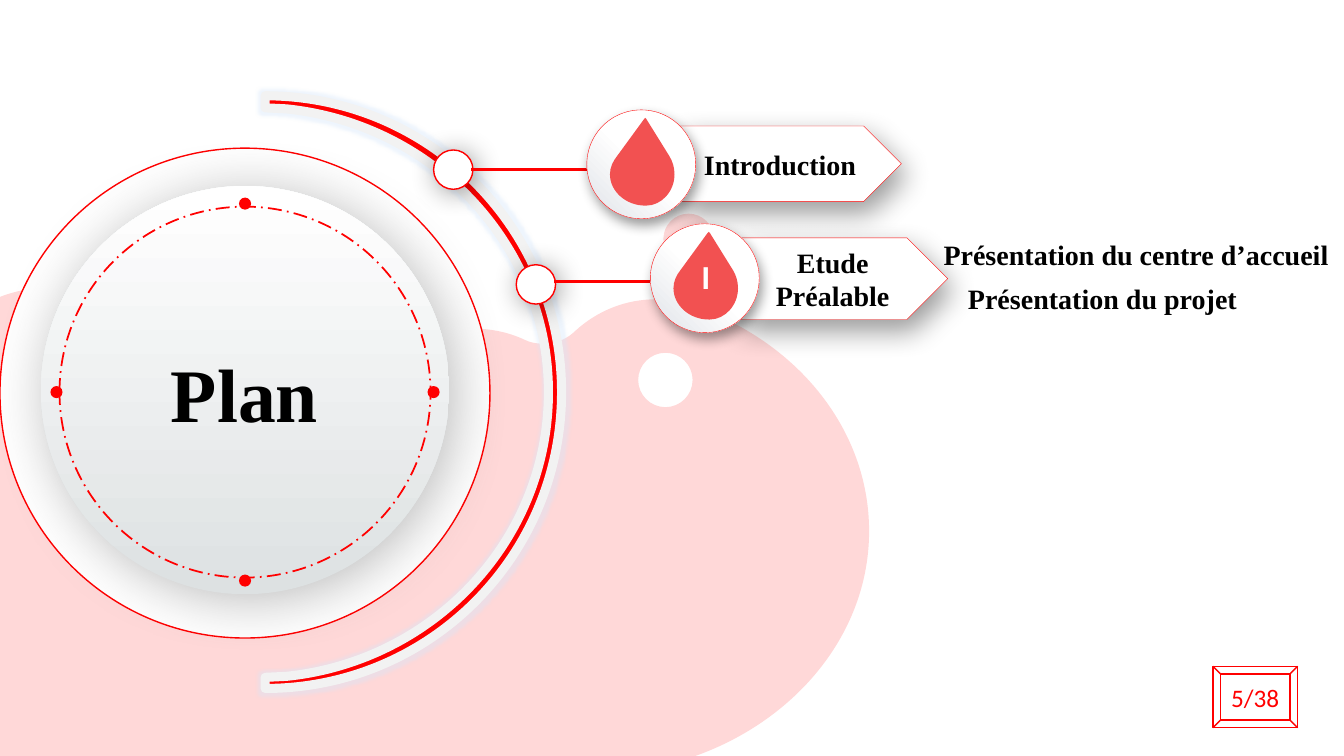
import math

import pptx
import pptx.dml.color
import pptx.enum.dml
import pptx.enum.shapes
import pptx.enum.text
import pptx.oxml
import pptx.oxml.ns
import pptx.util

COLORS = {"red": "FF0000", "drop": "F25151", "blob": "FFD8D8", "white": "FFFFFF",
          "black": "000000", "band": "F2F2F2", "glow": "D5E6FA", "steel": "DDE1E2",
          "pearl": "E0E3E8", "shade": "595959"}
SERIF, SANS = "Times New Roman", "Calibri"
KINDS = pptx.enum.shapes.MSO_SHAPE
LEFT, CENTER = pptx.enum.text.PP_ALIGN.LEFT, pptx.enum.text.PP_ALIGN.CENTER
TOP, MIDDLE = pptx.enum.text.MSO_ANCHOR.TOP, pptx.enum.text.MSO_ANCHOR.MIDDLE

# The page is a grid of one-inch cells; boxes are (left, top, width, height) in cells.
COLUMNS, ROWS = 13.33, 7.5
HUB = (2.43, 3.89)
ARC_HUB = (2.63, 3.89)

# Outlines are offsets from a corner: pairs are lines, sixes are Bézier curves.
LEFT_BLOB = [
    (0.61, 0), (0.85, 0, 1.1, 0.05, 1.32, 0.15), (1.77, 0.35, 2.14, 0.71, 2.41, 1.14),
    (2.66, 1.51, 2.84, 1.95, 3.22, 2.19), (3.49, 2.36, 3.82, 2.4, 4.13, 2.45),
    (4.51, 2.52, 4.89, 2.59, 5.25, 2.74), (5.6, 2.88, 5.94, 3.12, 6.16, 3.44),
    (6.42, 3.82, 6.5, 4.29, 6.51, 4.75), (0.13, 4.75), (0.06, 4.75, 0, 4.69, 0, 4.61),
    (0, 0.13), (0.19, 0.04, 0.4, 0, 0.61, 0)]
RIGHT_BLOB = [
    (5.28, 0), (4.99, 0, 4.71, 0.11, 4.49, 0.31), (4.41, 0.39, 4.3, 0.44, 4.17, 0.44),
    (4.1, 0.44, 4.04, 0.43, 3.98, 0.4), (3.81, 0.32, 3.63, 0.29, 3.46, 0.29),
    (3.2, 0.29, 2.96, 0.37, 2.75, 0.53), (2.54, 0.7, 2.36, 0.91, 2.21, 1.13),
    (1.96, 1.53, 1.6, 1.84, 1.17, 2.01), (1.13, 2.03, 1.1, 2.05, 1.07, 2.06),
    (0.81, 2.18, 0.64, 2.46, 0.67, 2.75), (0.68, 2.77, 0.68, 2.8, 0.67, 2.83),
    (0.66, 2.95, 0.56, 3.05, 0.44, 3.06), (0.43, 3.06), (0.19, 3.1, 0.01, 3.29, 0, 3.53),
    (0, 3.54), (0, 4.49, 0.96, 5.26, 2.14, 5.26), (2.57, 5.26, 2.97, 5.16, 3.3, 4.99),
    (3.64, 4.8, 4.02, 4.7, 4.4, 4.7), (4.43, 4.7, 4.46, 4.71, 4.49, 4.71), (4.63, 4.71),
    (6.15, 4.71, 7.4, 3.63, 7.4, 2.3), (7.4, 1.3, 6.7, 0.44, 5.7, 0.08),
    (5.56, 0.03, 5.42, 0, 5.28, 0)]
DROP = [
    (0.35, 0), (0.35, 0, 0.34, 0.01, 0.34, 0.01), (0.07, 0.38), (0.03, 0.43, 0, 0.49, 0, 0.56),
    (0, 0.73, 0.16, 0.87, 0.35, 0.87), (0.36, 0.87), (0.51, 0.87, 0.64, 0.73, 0.64, 0.56),
    (0.64, 0.49, 0.62, 0.43, 0.59, 0.38), (0.36, 0.01), (0.36, 0.01, 0.36, 0, 0.35, 0)]
ARC = [
    (0, 0), (1.63, 0, 2.94, 1.32, 2.94, 2.94), (2.94, 4.57, 1.63, 5.88, 0, 5.88), (0, 5.77),
    (0.21, 5.76), (1.67, 5.61, 2.81, 4.41, 2.81, 2.94), (2.81, 1.48, 1.67, 0.28, 0.21, 0.13),
    (0, 0.12)]

# Label, drop text, knot angle, connector row, badge corner, plate box
BRANCHES = [
    ("Introduction", "", 49.8, 1.68, (5.82, 1.09), (6.72, 1.25, 2.22, 0.75)),
    ("Etude Préalable", "I", 21.7, 2.79, (6.45, 2.22), (7.32, 2.36, 2.08, 0.81))]


def rgb(name):
    return pptx.dml.color.RGBColor.from_string(COLORS[name])


def cells(*lengths):
    return [pptx.util.Inches(length) for length in lengths]


def around(center, size):
    return center[0] - size / 2, center[1] - size / 2, size, size


def on_circle(center, radius, degrees):
    angle = math.radians(degrees)
    return center[0] + radius * math.cos(angle), center[1] - radius * math.sin(angle)


def element(tag, inner="", attributes=""):
    return pptx.oxml.parse_xml(
        f'<a:{tag} {pptx.oxml.ns.nsdecls("a")} {attributes}>{inner}</a:{tag}>')


def add_effect(shape, kind, attributes, color, alpha=40):
    effects = shape.element.spPr.find(pptx.oxml.ns.qn("a:effectLst"))
    effects.append(element(kind, f'<a:srgbClr val="{COLORS[color]}">'
                                 f'<a:alpha val="{alpha * 1000}"/></a:srgbClr>', attributes))


def add_shadow(shape, blur, distance, angle, color="black"):
    add_effect(shape, "outerShdw", f'blurRad="{blur * 12700}" dist="{distance * 12700}" '
               f'dir="{angle * 60000}" algn="tl" rotWithShape="0"', color)


def outline(shape, line, width):
    if line:
        shape.line.color.rgb = rgb(line)
        shape.line.width = pptx.util.Pt(width)
    else:
        shape.line.fill.background()


def paint(shape, fill=None, line=None, width=1):
    shape.shadow.inherit = False
    if fill:
        shape.fill.solid()
        shape.fill.fore_color.rgb = rgb(fill)
    else:
        shape.fill.background()
    outline(shape, line, width)
    return shape


def add_preset(page, kind, box, *style):
    return paint(page.shapes.add_shape(kind, *cells(*box)), *style)


def add_gradient_disc(page, box, stops, direction, line=None, width=1):
    disc = page.shapes.add_shape(KINDS.OVAL, *cells(*box))
    disc.shadow.inherit = False
    marks = "".join(f'<a:gs pos="{share * 1000}"><a:srgbClr val="{COLORS[color]}"/></a:gs>'
                    for share, color in stops)
    disc.element.spPr.find(pptx.oxml.ns.qn("a:prstGeom")).addnext(
        element("gradFill", f"<a:gsLst>{marks}</a:gsLst>{direction}", 'rotWithShape="1"'))
    outline(disc, line, width)
    return disc


def circle(center, radius):
    """Four quarter curves, as offsets from the page corner."""
    start, *quarters = [on_circle(center, radius, degrees) for degrees in range(0, 361, 90)]
    reach = radius * math.hypot(1, 0.55)
    lean = math.degrees(math.atan(0.55))
    return [start] + [(*on_circle(center, reach, 90 * turn + lean),
                       *on_circle(center, reach, 90 * turn + 90 - lean), *end)
                      for turn, end in enumerate(quarters)]


def place(parts, corner):
    return [tuple(value + corner[i % 2] for i, value in enumerate(part)) for part in parts]


def add_outline(page, contours, *style):
    first, *others = contours
    builder = page.shapes.build_freeform(*cells(*first[0]))
    builder.add_line_segments([cells(*part[-2:]) for part in first[1:]], close=True)
    for contour in others:
        builder.move_to(*cells(*contour[0]))
        builder.add_line_segments([cells(*part[-2:]) for part in contour[1:]], close=True)
    shape = builder.convert_to_shape()
    lines = list(shape.element.spPr.iter(pptx.oxml.ns.qn("a:lnTo")))
    parts = [part for contour in contours for part in contour[1:]]
    for line, part in zip(lines, parts):
        if len(part) == 6:
            x, y = cells(*part[::2]), cells(*part[1::2])
            points = "".join(f'<a:pt x="{h - shape.left}" y="{v - shape.top}"/>'
                             for h, v in zip(x, y))
            line.getparent().replace(line, element("cubicBezTo", points))
    return paint(shape, *style)


def write(shape, text, size, font=SERIF, color="black", bold=True, align=CENTER, anchor=MIDDLE):
    frame = shape.text_frame
    frame.text = text
    frame.word_wrap = True
    frame.vertical_anchor = anchor
    para = frame.paragraphs[0]
    para.alignment = align
    span = para.runs[0].font
    span.size, span.name, span.bold = pptx.util.Pt(size), font, bold
    span.color.rgb = rgb(color)
    return frame


def draw_backdrop(page):
    add_outline(page, [circle((6.6, 3.77), 0.27), place(RIGHT_BLOB, (1.22, 2.97))], "blob")
    for x, y, radius in [(6.83, 2.37, 0.25), (0.86, 3.57, 0.42), (1.48, 3.75, 0.15)]:
        add_outline(page, [circle((x, y), radius)], "blob")
    add_outline(page, [place(LEFT_BLOB, (-0.08, 2.85))], "blob")
    for x, y, radius in [(1.73, 2.77, 0.08), (1.13, 2.21, 0.05)]:
        add_outline(page, [circle((x, y), radius)], "blob")


def draw_dial(page, center):
    x, y = center
    add_preset(page, KINDS.OVAL, around((x, y + 0.01), 4.86), "white", "red", 1)
    disc = add_gradient_disc(page, around((x, y - 0.02), 4.05), [(0, "steel"), (100, "white")],
                             '<a:lin ang="16200000" scaled="0"/>')
    add_shadow(disc, 40, 6, 45, "shade")
    title = page.shapes.title
    title.left, title.top, title.width, title.height = cells(x - 1.43, y - 0.5, 2.85, 1.01)
    title.element.getparent().append(title.element)
    write(title, "Plan", 54, anchor=TOP)
    ring = add_preset(page, KINDS.OVAL, around(center, 3.68), None, "red", 1.25)
    ring.line.dash_style = pptx.enum.dml.MSO_LINE.LONG_DASH_DOT
    for degrees in range(0, 360, 90):
        add_preset(page, KINDS.OVAL, around(on_circle(center, 1.87, degrees), 0.12), "red")


def draw_arc(page, center):
    arc = add_outline(page, [place(ARC, (center[0], center[1] - 2.94))], "red", "band", 6.5)
    add_effect(arc, "glow", 'rad="63500"', "glow")


def draw_branch(page, label, mark, angle, row, badge, plate_box):
    x, y = badge
    knot_center = on_circle(ARC_HUB, 2.89, angle)
    knot = add_preset(page, KINDS.OVAL, around(knot_center, 0.39), "white", "red", 1)
    add_shadow(knot, 20, 3, 45)
    link = page.shapes.add_connector(pptx.enum.shapes.MSO_CONNECTOR.STRAIGHT,
                                     *cells(knot_center[0] + 0.18, row, x + 0.33, row))
    outline(link, "red", 2.25)
    link.element.spPr.append(element("effectLst"))
    plate = add_preset(page, KINDS.PENTAGON, plate_box, "white", "red", 0.25)
    add_shadow(plate, 21, 9, 65)
    write(plate, label, 20)
    disc = add_gradient_disc(page, (x, y, 1.08, 1.08), [(50, "white"), (100, "pearl")],
                             '<a:path path="circle"><a:fillToRect l="100000" b="100000"/></a:path>',
                             "red", 0.25)
    add_shadow(disc, 9, 5, 65)
    drop = add_outline(page, [place(DROP, (x + 0.23, y + 0.08))], "drop")
    if mark:
        write(drop, mark, 24, SANS, "white")


def draw_topic(page, text, box, align):
    topic = page.shapes.add_textbox(*cells(*box))
    write(topic, text, 20, align=align, anchor=TOP)


def draw_page_number(page, box):
    bevel = add_preset(page, KINDS.BEVEL, box, None, "red", 1)
    frame = write(bevel, "5/38", 18, SANS, "red", False)
    frame.margin_left = frame.margin_right = 0


def main():
    deck = pptx.Presentation()
    deck.slide_width, deck.slide_height = cells(COLUMNS, ROWS)
    page = deck.slides.add_slide(deck.slide_layouts.get_by_name("Title Only"))
    draw_backdrop(page)
    draw_dial(page, HUB)
    draw_arc(page, ARC_HUB)
    for branch in BRANCHES:
        draw_branch(page, *branch)
    draw_topic(page, "Présentation du centre d’accueil", (9.26, 2.31, 6.67, 0.44), LEFT)
    draw_topic(page, "Présentation du projet", (7.6, 2.74, 6.67, 0.44), CENTER)
    draw_page_number(page, (12.03, 6.61, 0.84, 0.61))
    deck.save("out.pptx")


if __name__ == "__main__":
    main()
